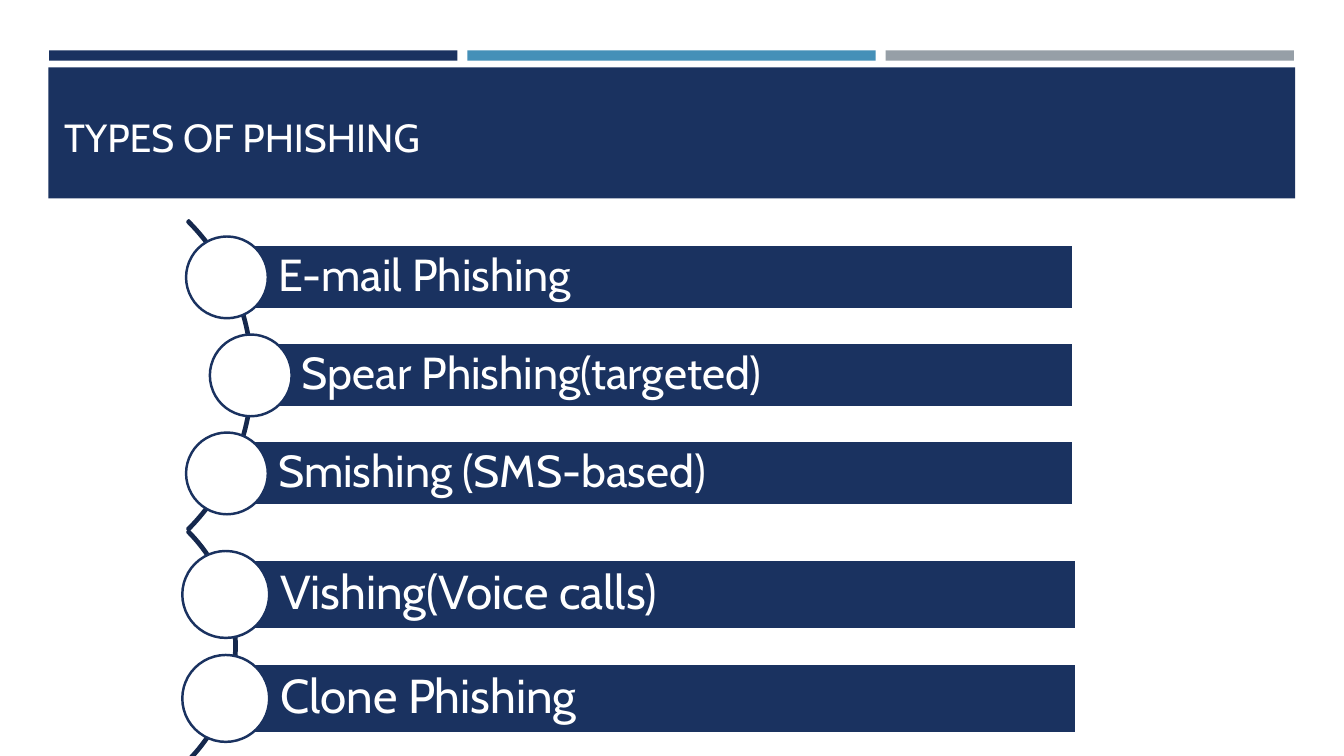
"""Build the slide on types of phishing."""
import pptx
import pptx.dml.color
import pptx.enum.shapes
import pptx.enum.text
import pptx.util

Cm = pptx.util.Cm
Pt = pptx.util.Pt
RGB = pptx.dml.color.RGBColor
KIND = pptx.enum.shapes.MSO_SHAPE
ANCHOR = pptx.enum.text.MSO_ANCHOR
ALIGN = pptx.enum.text.PP_ALIGN

NAVY = RGB(0x1A, 0x32, 0x60)
DARK = RGB(0x15, 0x28, 0x4D)
BLUE = RGB(0x45, 0x90, 0xB8)
GREY = RGB(0x96, 0x9F, 0xA7)
WHITE = RGB(0xFF, 0xFF, 0xFF)

TITLE = "TYPES OF PHISHING"
STRIPS = [NAVY, BLUE, GREY]
LISTS = [
    dict(items=[("E-mail Phishing", 5.72), ("Spear Phishing(targeted)", 6.32),
                ("Smishing (SMS-based)", 5.72)],
         arc=(0.85, 9.46, 11.05), thick=0.005, first=6.99, step=2.47,
         right=27.05, tall=1.62, ball=2.06, inset=1.29, size=32),
    dict(items=[("Vishing(Voice calls)", 5.69), ("Clone Phishing", 5.69)],
         arc=(1.85, 16.28, 8.23), thick=0.007, first=14.98, step=2.62,
         right=27.13, tall=1.74, ball=2.19, inset=1.37, size=34),
]

deck = pptx.Presentation()
deck.slide_width, deck.slide_height = Cm(33.87), Cm(19.05)
slide = deck.slides.add_slide(deck.slide_layouts[6])


def draw(kind, left, top, wide, tall, fill=None, line=None):
    shape = slide.shapes.add_shape(kind, Cm(left), Cm(top), Cm(wide), Cm(tall))
    shape.shadow.inherit = False
    if fill is None:
        shape.fill.background()
    else:
        shape.fill.solid()
        shape.fill.fore_color.rgb = fill
    if line is None:
        shape.line.fill.background()
    else:
        shape.line.color.rgb = line
        shape.line.width = Pt(1.75)
    return shape


def write(shape, text, size=28, anchor=ANCHOR.MIDDLE, inset=0.25, pad=0.23,
          space=0.9):
    frame = shape.text_frame
    frame.word_wrap = True
    frame.vertical_anchor = anchor
    frame.margin_left, frame.margin_right = Cm(inset), Cm(0.23)
    frame.margin_top = frame.margin_bottom = Cm(pad)
    para = frame.paragraphs[0]
    para.alignment = ALIGN.LEFT
    para.line_spacing = space
    run = para.add_run()
    run.text = text
    run.font.name, run.font.size = "Cabin", Pt(size)
    run.font.color.rgb = WHITE


for i, tint in enumerate(STRIPS):
    draw(KIND.RECTANGLE, 1.24 + i * 10.54, 1.27, 10.29, 0.26, tint)
draw(KIND.RECTANGLE, 1.22, 1.7, 31.42, 3.3, NAVY)
title = slide.shapes.add_textbox(Cm(1.37), Cm(1.35), Cm(30.63), Cm(2.82))
write(title, TITLE, anchor=ANCHOR.BOTTOM, pad=0.13, space=1.0)

for group in LISTS:
    x, y, wide = group["arc"]
    arc = draw(KIND.BLOCK_ARC, x - wide / 2, y - wide / 2, wide, wide, line=DARK)
    for i, value in enumerate((189, 27, group["thick"])):
        arc.adjustments[i] = value
    tall, ball = group["tall"], group["ball"]
    for i, (text, x) in enumerate(group["items"]):
        y = group["first"] + i * group["step"]
        bar = draw(KIND.RECTANGLE, x, y - tall / 2, group["right"] - x, tall,
                   NAVY, WHITE)
        write(bar, text, size=group["size"], inset=group["inset"])
        draw(KIND.OVAL, x - ball / 2, y - ball / 2, ball, ball, WHITE, NAVY)

deck.save("out.pptx")
